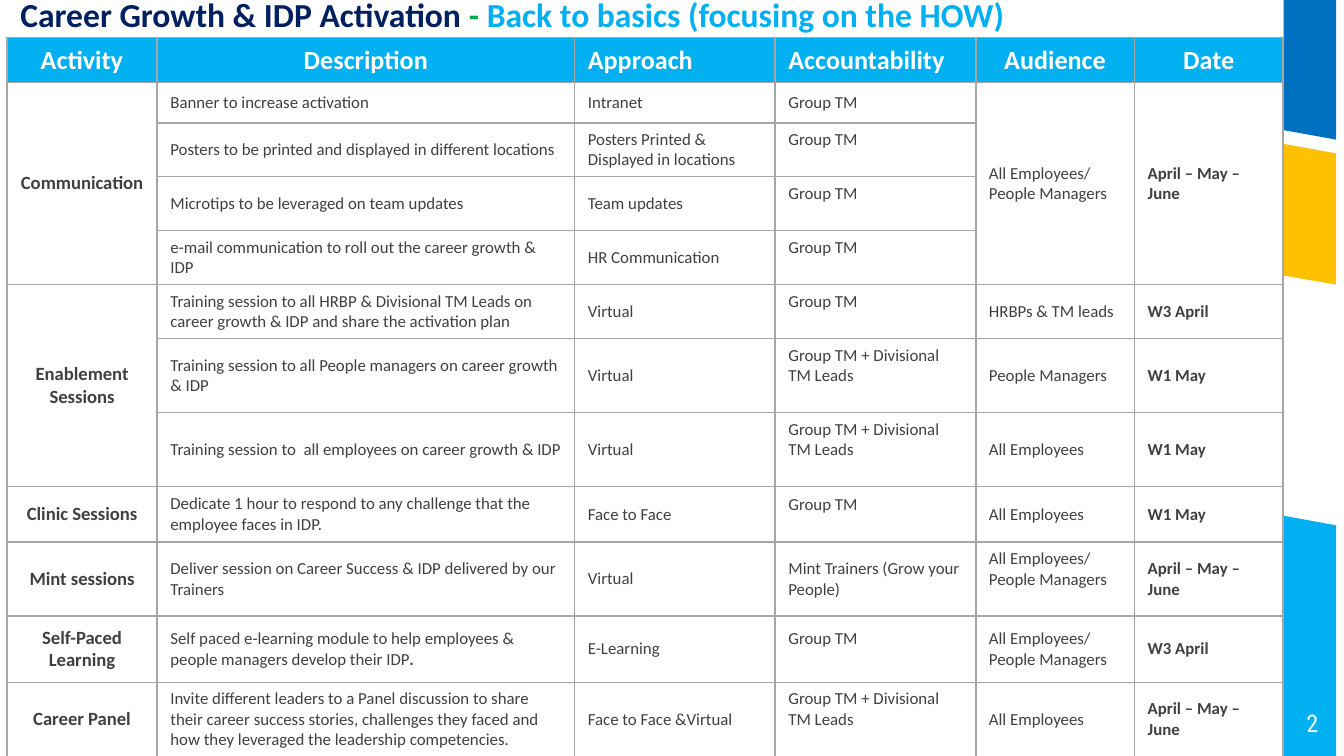
"""Build the career growth activation plan slide."""
from lxml.etree import SubElement
from pptx import Presentation
from pptx.dml.color import RGBColor
from pptx.enum.text import MSO_ANCHOR, MSO_AUTO_SIZE, PP_ALIGN
from pptx.oxml.ns import qn
from pptx.util import Cm, Pt

WHITE, NAVY, GREEN, CYAN = "FFFFFF", "002060", "00B050", "00B0F0"
BLUE, YELLOW, DARK, GREY = "0070C0", "FFC000", "404040", "A6A6A6"


def style(span, size, color, bold=False, name="Calibri"):
    """Format one run of text."""
    span.font.name = name
    span.font.size = Pt(size)
    span.font.bold = bold
    span.font.color.rgb = RGBColor.from_string(color)


def add_borders(cell):
    """Draw a thin grey line on every side of a cell."""
    properties = cell._tc.get_or_add_tcPr()
    for side in ("lnL", "lnR", "lnT", "lnB"):
        line = SubElement(properties, qn(f"a:{side}"), w=str(Pt(1)))
        fill = SubElement(line, qn("a:solidFill"))
        SubElement(fill, qn("a:srgbClr"), val=GREY)


deck = Presentation()
deck.slide_width, deck.slide_height = Cm(25.4), Cm(14.29)
page = deck.slides.add_slide(deck.slide_layouts[5])

left, right = Cm(24.26), Cm(25.25)
bands = [
    (CYAN, 9.75, 9.93, 14.29, 14.29),
    (YELLOW, 2.72, 2.9, 5.38, 5.21),
    (BLUE, 0, 0, 2.64, 2.46),
]
for color, top_left, top_right, bottom_right, bottom_left in bands:
    builder = page.shapes.build_freeform(left, Cm(top_left))
    builder.add_line_segments([
        (right, Cm(top_right)),
        (right, Cm(bottom_right)),
        (left, Cm(bottom_left)),
    ])
    band = builder.convert_to_shape()
    band.shadow.inherit = False
    band.fill.solid()
    band.fill.fore_color.rgb = RGBColor.from_string(color)
    band.line.fill.background()

number_box = page.shapes.add_textbox(Cm(24.31), Cm(13.03), Cm(0.99), Cm(1.27))
frame = number_box.text_frame
frame.margin_left = frame.margin_right = frame.margin_top = frame.margin_bottom = 0
frame.word_wrap = True
frame.vertical_anchor = MSO_ANCHOR.MIDDLE
frame.text = "2"
frame.paragraphs[0].alignment = PP_ALIGN.CENTER
style(frame.paragraphs[0].runs[0], 13, WHITE, name="Roboto Condensed")

title = page.shapes.title
title.left, title.top, title.width, title.height = Cm(0.13), Cm(-0.25), Cm(24), Cm(1.02)
frame = title.text_frame
frame.auto_size = MSO_AUTO_SIZE.NONE
frame.vertical_anchor = MSO_ANCHOR.MIDDLE
para = frame.paragraphs[0]
para.alignment = PP_ALIGN.LEFT
for text, color in [
    ("Career Growth & IDP Activation ", NAVY),
    ("- ", GREEN),
    ("Back to basics (focusing on the HOW)", CYAN),
]:
    span = para.add_run()
    span.text = text
    style(span, 18, color, bold=True)

group, divisional = "Group TM", "Group TM + Divisional TM Leads"
everyone, employees = "All Employees/ People Managers", "All Employees"
spring = "April – May – June"
plan = [
    ("Activity", "Description", "Approach", "Accountability", "Audience", "Date"),
    ("Communication", "Banner to increase activation", "Intranet", group, everyone, spring),
    ("", "Posters to be printed and displayed in different locations",
     "Posters Printed & Displayed in locations", group, "", ""),
    ("", "Microtips to be leveraged on team updates", "Team updates", group, "", ""),
    ("", "e-mail communication to roll out the career growth & IDP",
     "HR Communication", group, "", ""),
    ("Enablement Sessions",
     "Training session to all HRBP & Divisional TM Leads on career growth & IDP "
     "and share the activation plan", "Virtual", group, "HRBPs & TM leads", "W3 April"),
    ("", "Training session to all People managers on career growth & IDP",
     "Virtual", divisional, "People Managers", "W1 May"),
    ("", "Training session to  all employees on career growth & IDP",
     "Virtual", divisional, employees, "W1 May"),
    ("Clinic Sessions",
     "Dedicate 1 hour to respond to any challenge that the employee faces in IDP.",
     "Face to Face", group, employees, "W1 May"),
    ("Mint sessions", "Deliver session on Career Success & IDP delivered by our Trainers",
     "Virtual", "Mint Trainers (Grow your People)", everyone, spring),
    ("Self-Paced Learning",
     "Self paced e-learning module to help employees & people managers develop their IDP",
     "E-Learning", group, everyone, "W3 April"),
    ("Career Panel",
     "Invite different leaders to a Panel discussion to share their career success stories, "
     "challenges they faced and how they leveraged the leadership competencies.",
     "Face to Face &Virtual", divisional, employees, spring),
]
column_widths = [2.84, 7.89, 3.79, 3.79, 3, 2.81]
row_heights = [0.85, 0.76, 1.02, 1.02, 1.02, 1.02, 1.4, 1.4, 1.05, 1.4, 1.25, 1.4]
raised = {(row, 3) for row in range(2, len(plan)) if row != 9} | {(9, 4)}

table = page.shapes.add_table(
    len(plan), len(column_widths), Cm(0.13), Cm(0.71),
    Cm(sum(column_widths)), Cm(sum(row_heights)),
).table
for column, width in zip(table.columns, column_widths):
    column.width = Cm(width)
for row, height in zip(table.rows, row_heights):
    row.height = Cm(height)

for row, entries in enumerate(plan):
    for column, text in enumerate(entries):
        cell = table.cell(row, column)
        add_borders(cell)
        cell.margin_left = cell.margin_right = Cm(0.25)
        cell.margin_top = Cm(0.12)
        cell.margin_bottom = Cm(0.5 if (row, column) in raised else 0.12)
        cell.vertical_anchor = MSO_ANCHOR.MIDDLE
        if row == 0:
            cell.fill.solid()
            cell.fill.fore_color.rgb = RGBColor.from_string(CYAN)
        else:
            cell.fill.background()
        if not text:
            continue
        cell.text_frame.text = text
        para = cell.text_frame.paragraphs[0]
        if column == 0 or (row == 0 and column in (1, 4, 5)):
            para.alignment = PP_ALIGN.CENTER
        size = 14 if row == 0 else 10 if column == 0 else 9
        style(para.runs[0], size, DARK if row else WHITE, bold=row == 0 or column in (0, 5))

full_stop = table.cell(10, 1).text_frame.paragraphs[0].add_run()
full_stop.text = "."
style(full_stop, 9, DARK, bold=True)

for first, last, column in [(1, 4, 0), (1, 4, 4), (1, 4, 5), (5, 7, 0)]:
    table.cell(first, column).merge(table.cell(last, column))

deck.save("out.pptx")
